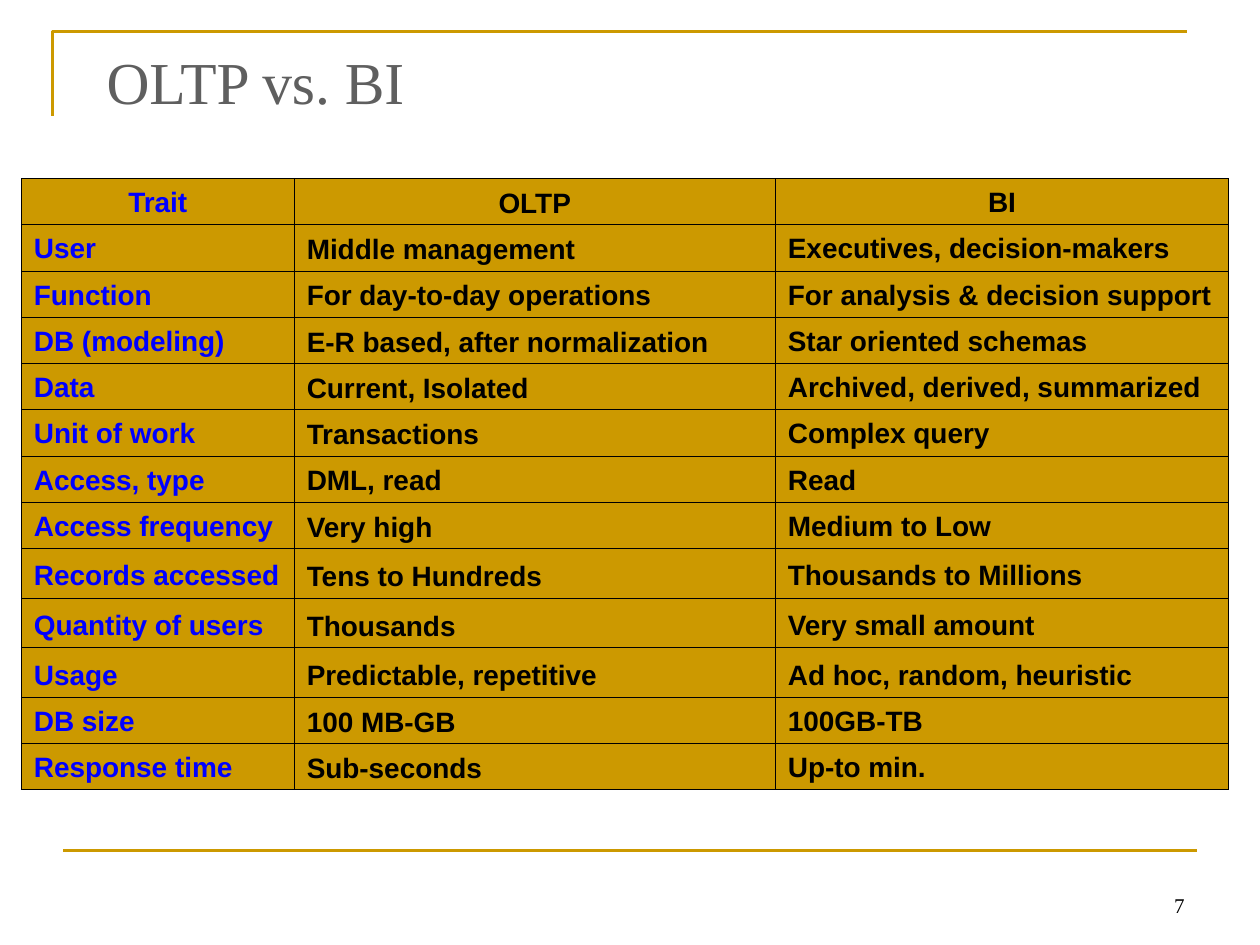
from dataclasses import dataclass

from lxml.etree import SubElement
from pptx import Presentation
from pptx.dml.color import RGBColor
from pptx.enum.shapes import MSO_CONNECTOR as Connector
from pptx.enum.text import MSO_ANCHOR as Anchor, PP_ALIGN as Align
from pptx.oxml.ns import qn
from pptx.util import Cm, Pt


@dataclass(frozen=True)
class Theme:
    """Colours, fonts and sizes of the slide."""
    gold: str = "CC9900"
    gray: str = "5F5F5F"
    blue: str = "0000FF"
    black: str = "000000"
    serif: str = "Times New Roman"
    sans: str = "Arial"
    title_size: float = 34
    table_size: float = 16
    number_size: float = 12
    rule_width: float = 1.5
    border_width: float = 0.45


def write_text(frame, text, *, size, font, color, bold=False, align=Align.LEFT,
               line_spacing=None, space_before=0, hanging=0):
    """Write one formatted paragraph into a text frame."""
    paragraph = frame.paragraphs[0]
    paragraph.alignment = align
    paragraph.space_before = Pt(space_before)
    if line_spacing:
        paragraph.line_spacing = line_spacing
    if hanging:
        properties = paragraph._p.get_or_add_pPr()
        properties.set("marL", str(Cm(hanging)))
        properties.set("indent", str(-Cm(hanging)))
    run = paragraph.add_run()
    run.text = text
    run.font.size = Pt(size)
    run.font.name = font
    run.font.bold = bold
    run.font.color.rgb = RGBColor.from_string(color)


def set_borders(cell, color, width):
    """Draw the four borders of a table cell."""
    properties = cell._tc.get_or_add_tcPr()
    for index, side in enumerate(("lnL", "lnR", "lnT", "lnB")):
        line = properties.makeelement(qn(f"a:{side}"), {"w": str(Pt(width))})
        properties.insert(index, line)
        fill = SubElement(line, qn("a:solidFill"))
        SubElement(fill, qn("a:srgbClr"), val=color)


class SlideBuilder:
    """Holds the theme and the current slide."""

    def __init__(self, slide, theme):
        """Keep the slide and its theme."""
        self.slide = slide
        self.theme = theme

    def style_line(self, line):
        """Give a line the gold rule style."""
        line.color.rgb = RGBColor.from_string(self.theme.gold)
        line.width = Pt(self.theme.rule_width)

    def corner(self, left, top, right, bottom):
        """Draw the open corner rule around the title."""
        builder = self.slide.shapes.build_freeform(Cm(left), Cm(bottom))
        builder.add_line_segments(
            [(Cm(left), Cm(top)), (Cm(right), Cm(top))], close=False)
        shape = builder.convert_to_shape()
        shape.shadow.inherit = False
        shape.fill.background()
        self.style_line(shape.line)

    def rule(self, left, right, y):
        """Draw a horizontal rule."""
        connector = self.slide.shapes.add_connector(
            Connector.STRAIGHT, Cm(left), Cm(y), Cm(right), Cm(y))
        SubElement(connector._element.spPr, qn("a:effectLst"))
        self.style_line(connector.line)

    def text(self, text, left, top, width, height, *, anchor=Anchor.TOP,
             inset_top=0.13, **text_format):
        """Add a wrapping text box."""
        box = self.slide.shapes.add_textbox(
            Cm(left), Cm(top), Cm(width), Cm(height))
        frame = box.text_frame
        frame.word_wrap = True
        frame.vertical_anchor = anchor
        frame.margin_top = Cm(inset_top)
        write_text(frame, text, **text_format)

    def table(self, rows, left, top, widths, heights):
        """Add the comparison table with its header row and trait column."""
        theme = self.theme
        table = self.slide.shapes.add_table(
            len(rows), len(widths), Cm(left), Cm(top),
            Cm(sum(widths)), Cm(sum(heights))).table
        table.first_row = table.horz_banding = False
        for column, width in zip(table.columns, widths):
            column.width = Cm(width)
        for row_index, (values, height) in enumerate(zip(rows, heights)):
            table.rows[row_index].height = Cm(height)
            is_header = row_index == 0
            for column_index, value in enumerate(values):
                cell = table.cell(row_index, column_index)
                cell.vertical_anchor = Anchor.BOTTOM
                cell.fill.solid()
                cell.fill.fore_color.rgb = RGBColor.from_string(theme.gold)
                set_borders(cell, theme.black, theme.border_width)
                write_text(
                    cell.text_frame, value, size=theme.table_size,
                    font=theme.sans, bold=True, space_before=4,
                    color=theme.blue if column_index == 0 else theme.black,
                    align=Align.CENTER if is_header else Align.LEFT,
                    hanging=0 if is_header else 0.95,
                    line_spacing=0.8 if column_index == 1 else None)


COMPARISON = [
    ("Trait", "OLTP", "BI"),
    ("User", "Middle management", "Executives, decision-makers"),
    ("Function", "For day-to-day operations", "For analysis & decision support"),
    ("DB (modeling)", "E-R based, after normalization", "Star oriented schemas"),
    ("Data", "Current, Isolated", "Archived, derived, summarized"),
    ("Unit of work", "Transactions", "Complex query"),
    ("Access, type", "DML, read", "Read"),
    ("Access frequency", "Very high", "Medium to Low"),
    ("Records accessed", "Tens to Hundreds", "Thousands to Millions"),
    ("Quantity of users", "Thousands", "Very small amount"),
    ("Usage", "Predictable, repetitive", "Ad hoc, random, heuristic"),
    ("DB size", "100 MB-GB", "100GB-TB"),
    ("Response time", "Sub-seconds", "Up-to min."),
]


def main():
    """Build and save the slide."""
    presentation = Presentation()
    presentation.slide_width, presentation.slide_height = Cm(25.4), Cm(19.05)
    theme = Theme()
    slide = presentation.slides.add_slide(presentation.slide_layouts[6])
    builder = SlideBuilder(slide, theme)

    builder.corner(1.06, 0.64, 23.92, 2.33)
    builder.rule(1.27, 24.13, 17.15)
    builder.text("OLTP vs. BI", 1.9, 0.64, 21.6, 3.17, inset_top=0.27,
                 size=theme.title_size, font=theme.serif, color=theme.gray)
    builder.table(COMPARISON, 0.43, 3.6, widths=[5.5, 9.7, 9.14],
                  heights=[0.93] * 8 + [1.0] * 3 + [0.93] * 2)
    builder.text("7", 18.2, 17.35, 5.93, 1.27, anchor=Anchor.BOTTOM,
                 align=Align.RIGHT, size=theme.number_size,
                 font=theme.serif, color=theme.black)
    presentation.save("out.pptx")


main()
